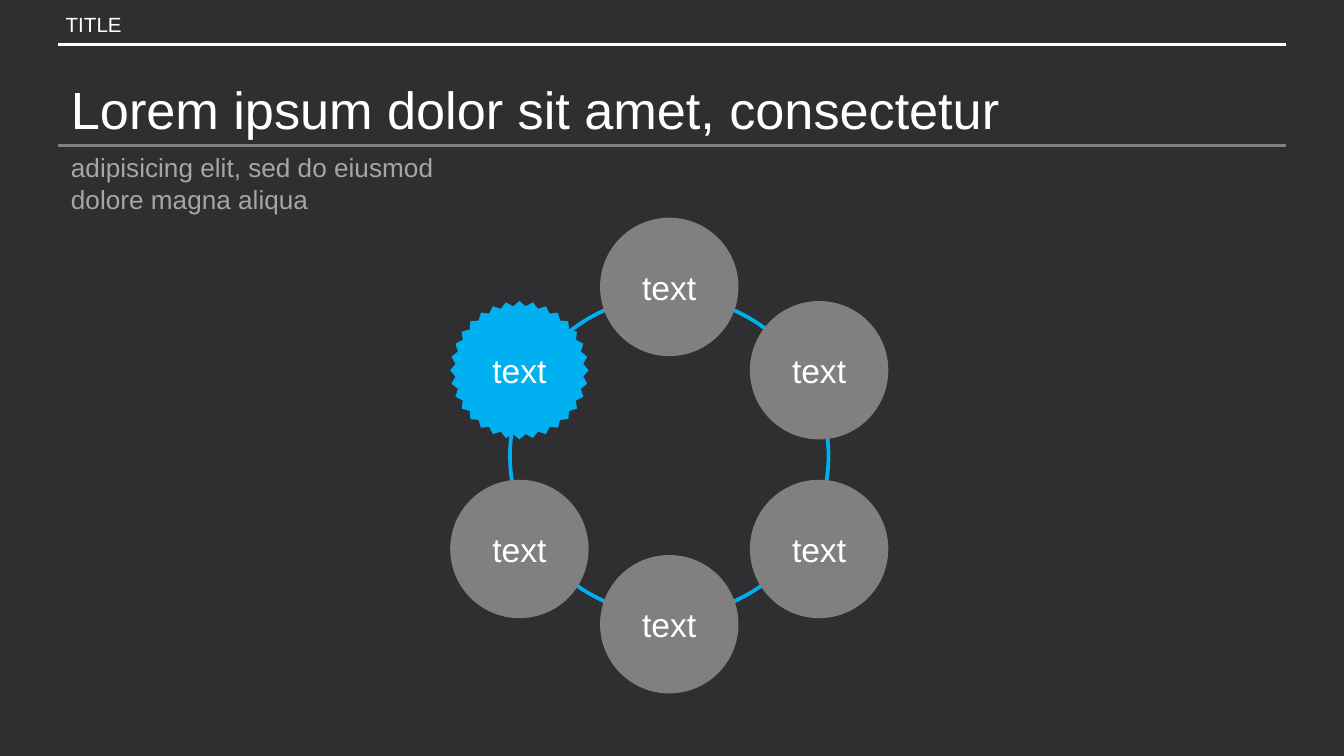
from pptx import Presentation
from pptx.dml.color import RGBColor
from pptx.enum.shapes import MSO_CONNECTOR, MSO_SHAPE
from pptx.enum.text import MSO_ANCHOR, PP_ALIGN
from pptx.oxml.ns import qn
from pptx.util import Inches, Pt
from lxml.etree import SubElement

W = 10
H = W * 9 / 16
COLORS = {"back": "2F2F31", "white": "FFFFFF", "gray": "808080",
          "muted": "A6A6A6", "accent": "00B0F0"}
FORMATS = {
    "label": {"size": Pt(11), "color": "white"},
    "title": {"size": Pt(28), "color": "white"},
    "subtitle": {"size": Pt(14), "color": "muted"},
    "node": {"size": Pt(18), "color": "white"},
}
NODES = [(1, 0, "gray"), (1, 3, "gray"), (0, 2, "gray"),
         (2, 1, "gray"), (2, 2, "gray"), (0, 1, "accent")]
ROWS = [0, 0.62, 1.95, 2.51]


def rgb(name):
    return RGBColor.from_string(COLORS[name])


def put_text(sp, lines, style, align=PP_ALIGN.LEFT, anchor=MSO_ANCHOR.MIDDLE):
    tf = sp.text_frame
    tf.word_wrap = True
    tf.vertical_anchor = anchor
    for i, line in enumerate(lines):
        p = tf.paragraphs[0] if i == 0 else tf.add_paragraph()
        p.alignment = align
        r = p.add_run()
        r.text = line
        r.font.name = "Arial"
        for key, value in FORMATS[style].items():
            if key == "color":
                r.font.color.rgb = rgb(value)
            else:
                setattr(r.font, key, value)


def add_text(s, box, lines, style, **layout):
    put_text(s.shapes.add_textbox(*map(Inches, box)), lines, style, **layout)


def add_shape(s, kind, box, fill=None, line=None):
    sp = s.shapes.add_shape(kind, *map(Inches, box))
    sp.shadow.inherit = False
    if fill:
        sp.fill.solid()
        sp.fill.fore_color.rgb = rgb(fill)
    else:
        sp.fill.background()
    if line:
        sp.line.color.rgb = rgb(line)
        sp.line.width = Pt(2)
    else:
        sp.line.fill.background()
    return sp


def add_rule(s, x, y, width, color):
    cx = s.shapes.add_connector(MSO_CONNECTOR.STRAIGHT,
                                *map(Inches, (x, y, x + width, y)))
    cx.line.color.rgb = rgb(color)
    cx.line.width = Pt(1.5)
    SubElement(cx._element.spPr, qn("a:effectLst"))


def add_header(s, box):
    x, y, w, h = box
    title_y, rule_y = y + 0.53, y + 1.08
    add_rule(s, x, rule_y, w, "gray")
    add_rule(s, x, y + 0.33, w, "white")
    add_text(s, (x - 0.04, y + 0.03, w + 0.04, 0.3), ["TITLE"], "label")
    add_text(s, (x, rule_y, w, h - rule_y),
             ["adipisicing elit, sed do eiusmod", "dolore magna aliqua"],
             "subtitle", anchor=MSO_ANCHOR.TOP)
    add_text(s, (x, title_y, w, rule_y - title_y),
             ["Lorem ipsum dolor sit amet, consectetur"], "title")


def add_cycle(s, box, node=1.03, ring=2.37):
    x, y, w, h = box
    step = (w - node) / 2
    add_shape(s, MSO_SHAPE.OVAL,
              (x + (w - ring) / 2, y + (h - ring) / 2, ring, ring), line="accent")
    for col, row, color in NODES:
        active = color == "accent"
        kind = MSO_SHAPE.STAR_32_POINT if active else MSO_SHAPE.OVAL
        sp = add_shape(s, kind, (x + col * step, y + ROWS[row], node, node), color)
        if active:
            sp.adjustments[0] = 0.464
        put_text(sp, ["text"], "node", align=PP_ALIGN.CENTER)


def main():
    prs = Presentation()
    prs.slide_width, prs.slide_height = Inches(W), Inches(H)
    s = prs.slides.add_slide(prs.slide_layouts[6])
    s.background.fill.solid()
    s.background.fill.fore_color.rgb = rgb("back")
    add_header(s, (0.43, 0, W - 2 * 0.43, 1.65))
    add_cycle(s, (3.35, 1.62, 3.26, 0.63 * H))
    prs.save("out.pptx")


if __name__ == "__main__":
    main()
